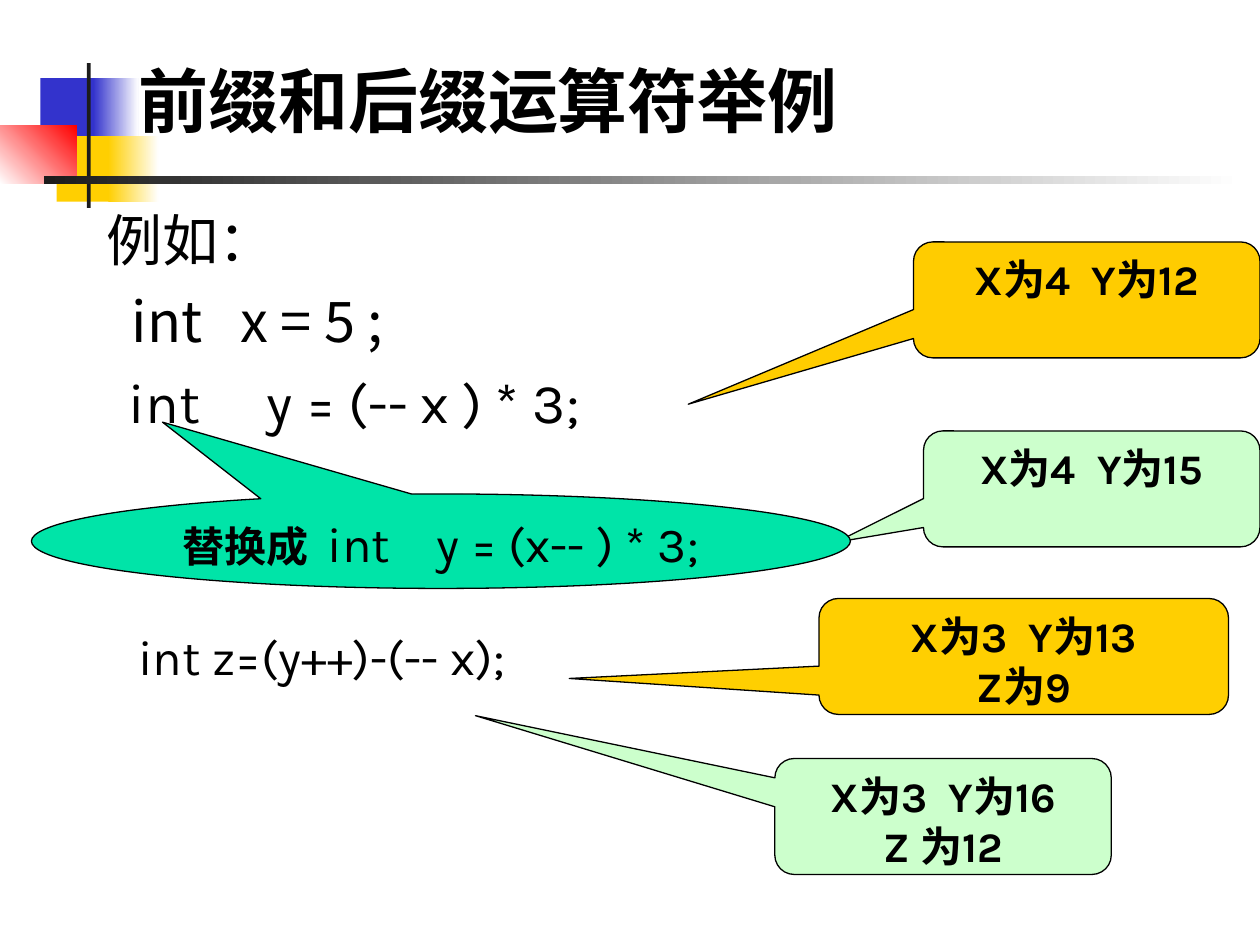
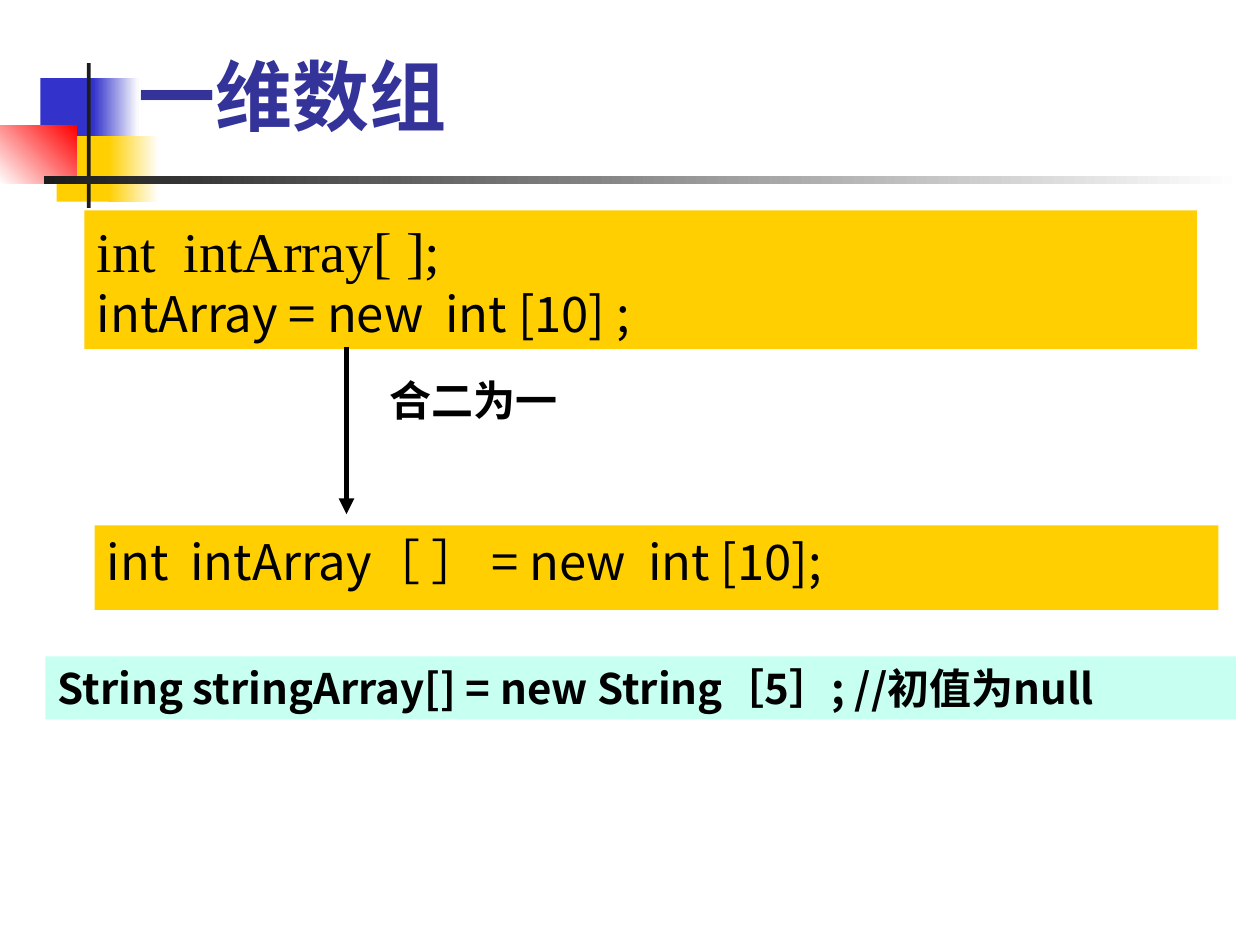
from lxml import etree
from pptx import Presentation
from pptx.dml.color import RGBColor
from pptx.enum.shapes import MSO_CONNECTOR, MSO_SHAPE
from pptx.enum.text import MSO_ANCHOR, PP_ALIGN
from pptx.oxml.ns import qn
from pptx.util import Inches, Pt

RECTANGLE = MSO_SHAPE.RECTANGLE
ROUND_CALLOUT = MSO_SHAPE.ROUNDED_RECTANGULAR_CALLOUT
OVAL_CALLOUT = MSO_SHAPE.OVAL_CALLOUT
LEFT, CENTER = PP_ALIGN.LEFT, PP_ALIGN.CENTER
TOP, BOTTOM = MSO_ANCHOR.TOP, MSO_ANCHOR.BOTTOM

BLACK = RGBColor(0x00, 0x00, 0x00)
WHITE = RGBColor(0xFF, 0xFF, 0xFF)
CHARCOAL = RGBColor(0x1C, 0x1C, 0x1C)
BLUE = RGBColor(0x33, 0x33, 0xCC)
RED = RGBColor(0xFF, 0x00, 0x00)
GOLD = RGBColor(0xFF, 0xCF, 0x01)
AMBER = RGBColor(0xFF, 0xCC, 0x00)
INDIGO = RGBColor(0x33, 0x33, 0x99)
PALE_GREEN = RGBColor(0xCC, 0xFF, 0xCC)
EMERALD = RGBColor(0x00, 0xE4, 0xA8)
MINT = RGBColor(0xC7, 0xFF, 0xF0)

KARLA = "Karla"
NOTO = "Noto Sans CJK SC"
TIMES = "Times New Roman"


def add_panel(slide, preset, box, colors, outlined=False, angle=0):
    """Add a shape filled with one colour, or with a gradient between two."""
    shape = slide.shapes.add_shape(preset, *map(Inches, box))
    shape.shadow.inherit = False
    if len(colors) == 1:
        shape.fill.solid()
        shape.fill.fore_color.rgb = colors[0]
    else:
        shape.fill.gradient()
        shape.fill.gradient_angle = angle
        for stop, color in zip(shape.fill.gradient_stops, colors):
            stop.color.rgb = color
    if outlined:
        shape.line.color.rgb = BLACK
        shape.line.width = Pt(0.75)
    else:
        shape.line.fill.background()
    return shape


def write_text(shape, paragraphs, color=BLACK, align=LEFT, anchor=TOP, space=0):
    """Fill a shape with paragraphs, each a list of (text, size, font, bold) runs."""
    frame = shape.text_frame
    frame.word_wrap = True
    frame.vertical_anchor = anchor
    for index, runs in enumerate(paragraphs):
        paragraph = frame.add_paragraph() if index else frame.paragraphs[0]
        paragraph.alignment = align
        if index and space:
            paragraph.space_before = Pt(space)
        for text, size, font, bold in runs:
            run = paragraph.add_run()
            run.text = text
            run.font.size = Pt(size)
            run.font.bold = bold
            run.font.color.rgb = color
            run.font.name = font
            east_asian = etree.SubElement(run.font._element, qn("a:ea"))
            east_asian.set("typeface", NOTO)


presentation = Presentation()
presentation.slide_width = Inches(10)
presentation.slide_height = Inches(7.5)

# Shared decoration and titles
decoration = [
    ((0.32, 0.62, 0.48, 0.52), [BLUE], 0),
    ((0.74, 0.62, 0.36, 0.52), [BLUE, WHITE], 0),
    ((0.45, 1.08, 0.46, 0.52), [GOLD], 0),
    ((0.86, 1.08, 0.4, 0.52), [GOLD, WHITE], 0),
    ((0, 1, 0.61, 0.46), [WHITE, RED], 45),
    ((0.69, 0.5, 0.03, 1.15), [CHARCOAL], 0),
    ((0.35, 1.4, 9.51, 0.06), [CHARCOAL, WHITE], 0),
]
titles = [("前缀和后缀运算符举例", 40, BLACK), ("一维数组", 44, INDIGO)]
slides = []
for title, size, color in titles:
    slide = presentation.slides.add_slide(presentation.slide_layouts[6])
    for box, colors, angle in decoration:
        add_panel(slide, RECTANGLE, box, colors, angle=angle)
    title_box = slide.shapes.add_textbox(Inches(1), Inches(0.17), Inches(8.58), Inches(1))
    write_text(title_box, [[(title, size, NOTO, True)]], color, anchor=BOTTOM)
    slides.append(slide)
operator_slide, array_slide = slides

# Prefix and postfix operators
example_box = operator_slide.shapes.add_textbox(
    Inches(0.75), Inches(1.58), Inches(5.58), Inches(3))
write_text(example_box, [
    [("例如：", 32, NOTO, False)],
    [("  int   x = 5 ;", 32, NOTO, False)],
    [("  ", 28, NOTO, False), ("int     y = (-- x ) * 3;", 32, KARLA, False)],
], space=8)
difference_box = operator_slide.shapes.add_textbox(
    Inches(1), Inches(4.92), Inches(4.83), Inches(1.28))
write_text(difference_box, [[("int z=(y++)-(-- x);", 28, KARLA, False)]])

callouts = [
    (ROUND_CALLOUT, (7.25, 1.92, 2.75, 0.92), (-1.15, 0.9), AMBER,
     [[("X为4  Y为12", 24, KARLA, True)]]),
    (ROUND_CALLOUT, (7.33, 3.42, 2.67, 0.92), (-0.76, 0.46), PALE_GREEN,
     [[("X为4  Y为15", 24, KARLA, True)]]),
    (ROUND_CALLOUT, (6.5, 4.75, 3.25, 0.92), (-1.11, 0.19), GOLD,
     [[("X为3  Y为13", 24, KARLA, True)], [("Z为9", 24, KARLA, True)]]),
    (OVAL_CALLOUT, (0.25, 3.92, 6.5, 0.75), (-0.34, -1.26), EMERALD,
     [[("替换成  ", 24, KARLA, True), ("int    y = (x-- ) * 3;", 28, KARLA, False)]]),
    (ROUND_CALLOUT, (6.15, 6.02, 2.67, 0.92), (-1.39, -0.87), PALE_GREEN,
     [[("X为3  Y为16", 24, KARLA, True)], [("Z 为12", 24, KARLA, True)]]),
]
for preset, box, tip, color, paragraphs in callouts:
    callout = add_panel(operator_slide, preset, box, [color], outlined=True)
    callout.adjustments[0], callout.adjustments[1] = tip
    write_text(callout, paragraphs, align=CENTER)

# One-dimensional arrays
code_panels = [
    ((0.67, 1.67, 8.83, 1.1), GOLD,
     [[("int  intArray[ ];", 32, TIMES, False)],
      [("intArray = new  int [10] ;", 28, NOTO, False)]]),
    ((0.75, 4.17, 8.92, 0.67), GOLD,
     [[("int  intArray［ ］ = new  int [10];", 28, NOTO, False)]]),
    ((0.36, 5.21, 9.45, 0.5), MINT,
     [[("String stringArray[] = new String［5］; //初值为null", 24, NOTO, True)]]),
]
for box, color, paragraphs in code_panels:
    write_text(add_panel(array_slide, RECTANGLE, box, [color]), paragraphs)

merge_label = array_slide.shapes.add_textbox(
    Inches(2.17), Inches(2.92), Inches(3.17), Inches(0.75))
write_text(merge_label, [[("合二为一", 24, KARLA, True)]], align=CENTER)

merge_arrow = array_slide.shapes.add_connector(
    MSO_CONNECTOR.STRAIGHT, Inches(2.75), Inches(2.75), Inches(2.75), Inches(4.08))
merge_arrow.line.color.rgb = BLACK
merge_arrow.line.width = Pt(3)
etree.SubElement(merge_arrow.line._get_or_add_ln(), qn("a:tailEnd")).set("type", "triangle")
etree.SubElement(merge_arrow._element.spPr, qn("a:effectLst"))

presentation.save("out.pptx")
